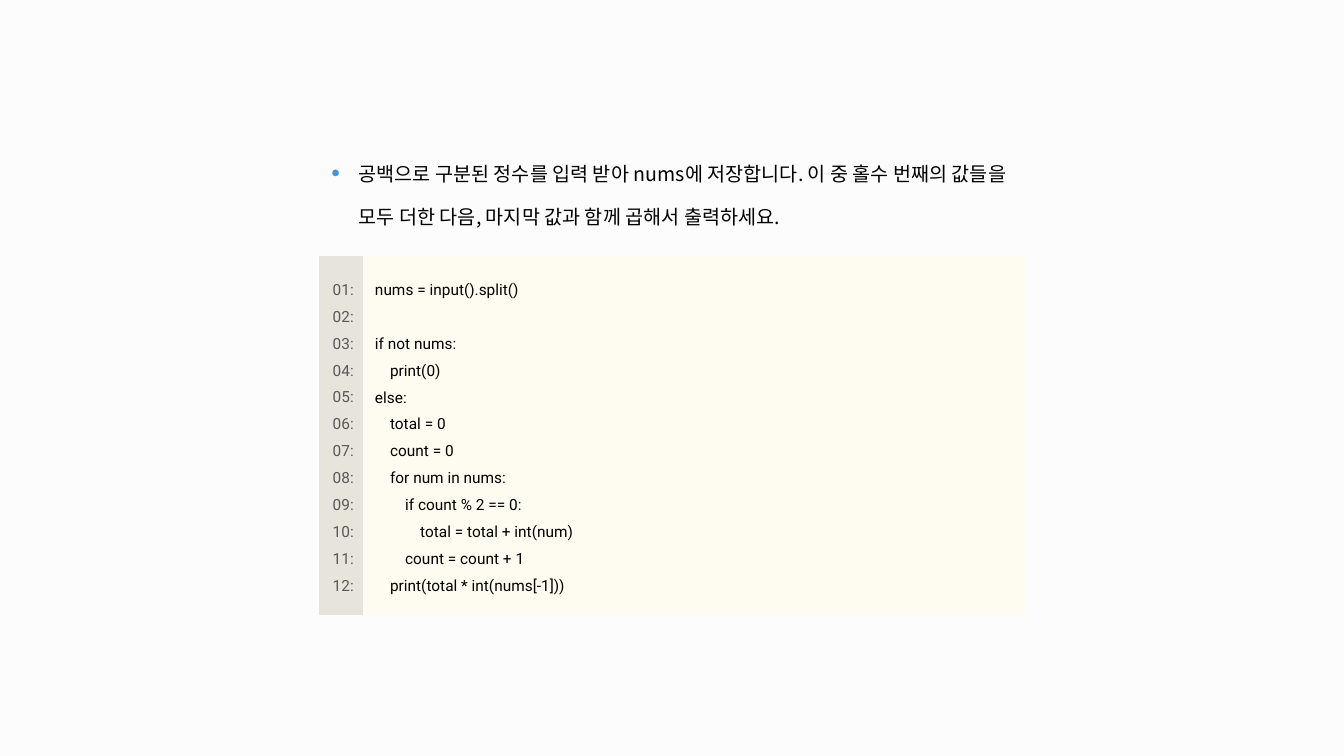
from lxml import etree
from pptx import Presentation
from pptx.dml.color import RGBColor
from pptx.enum.text import MSO_ANCHOR, PP_ALIGN
from pptx.oxml.ns import qn
from pptx.util import Cm, Pt

MIDDLE = MSO_ANCHOR.MIDDLE
CENTER = PP_ALIGN.CENTER

BACKGROUND = RGBColor(0xFC, 0xFC, 0xFC)
BLACK = RGBColor(0x00, 0x00, 0x00)
GREY = RGBColor(0x57, 0x58, 0x5A)
GUTTER = RGBColor(0xE6, 0xE4, 0xDB)
CREAM = RGBColor(0xFE, 0xFB, 0xF1)
BLUE = RGBColor(0x44, 0x95, 0xD1)
NO_STYLE = "{2D5ABB26-0587-4C30-8999-92F81FD0307C}"

TASK = ("공백으로 구분된 정수를 입력 받아 nums에 저장합니다. 이 중 홀수 번째의 "
        "값들을 모두 더한 다음, 마지막 값과 함께 곱해서 출력하세요.")

# Line number, indent level, code
CODE = [
    (1, 0, "nums = input().split()"),
    (3, 0, "if not nums:"),
    (4, 1, "print(0)"),
    (5, 0, "else:"),
    (6, 1, "total = 0"),
    (7, 1, "count = 0"),
    (8, 1, "for num in nums:"),
    (9, 2, "if count % 2 == 0:"),
    (10, 3, "total = total + int(num)"),
    (11, 2, "count = count + 1"),
    (12, 1, "print(total * int(nums[-1]))"),
]
LINE_HEIGHT = 19.3


def set_margins(cell, left, top, bottom):
    cell.margin_left, cell.margin_top = Cm(left), Cm(top)
    cell.margin_right, cell.margin_bottom = Cm(0), Cm(bottom)
    cell.vertical_anchor = MIDDLE


def write_lines(cell, lines, font, size, color):
    tf = cell.text_frame
    tf.text = "\n".join(lines)
    for p in tf.paragraphs:
        p.line_spacing = 1.5
        r = p.runs[0]
        r.font.name, r.font.size = font, Pt(size)
        r.font.color.rgb = color
        etree.SubElement(r.font._element, qn("a:ea"), typeface=font)
    return tf.paragraphs


prs = Presentation()
prs.slide_width, prs.slide_height = Cm(33.87), Cm(19.05)
s = prs.slides.add_slide(prs.slide_layouts[6])
s.background.fill.solid()
s.background.fill.fore_color.rgb = BACKGROUND

# Table without style or borders
frame = s.shapes.add_table(2, 2, Cm(8.05), Cm(3.3), Cm(17.78), Cm(12.42))
table = frame.table
table.first_row = table.horz_banding = False
table._tbl.tblPr.find(qn("a:tableStyleId")).text = NO_STYLE
table.columns[0].width, table.columns[1].width = Cm(1.1), Cm(16.67)
table.rows[0].height, table.rows[1].height = Cm(3.15), Cm(9.04)

# Task, across both columns
task = table.cell(0, 0)
task.merge(table.cell(0, 1))
task.fill.background()
set_margins(task, 0.3, 0.1, 0.4)
p = write_lines(task, [TASK], "Noto Sans CJK KR", 14, BLACK)[0]
pPr = p._p.get_or_add_pPr()
pPr.set("marL", str(Cm(0.69)))
pPr.set("indent", str(-Cm(0.69)))
color = etree.SubElement(pPr, qn("a:buClr"))
etree.SubElement(color, qn("a:srgbClr"), val=str(BLUE))
etree.SubElement(pPr, qn("a:buSzPct"), val="125000")
etree.SubElement(pPr, qn("a:buFont"), typeface="Arial")
etree.SubElement(pPr, qn("a:buChar"), char="•")

# Line numbers
gutter = table.cell(1, 0)
gutter.fill.solid()
gutter.fill.fore_color.rgb = GUTTER
set_margins(gutter, 0.1, 0.1, 0.2)
numbers = [f"{n:02}:" for n in range(1, CODE[-1][0] + 1)]
for p in write_lines(gutter, numbers, "Roboto", 11, GREY):
    p.alignment = CENTER

# Code: indents by level, skipped line numbers become space
code = table.cell(1, 1)
code.fill.solid()
code.fill.fore_color.rgb = CREAM
set_margins(code, 0.3, 0.4, 0.5)
paragraphs = write_lines(code, [text for _, _, text in CODE], "Roboto", 11, BLACK)
last = 0
for p, (number, level, _) in zip(paragraphs, CODE):
    p._p.get_or_add_pPr().set("marL", str(Cm(0.38 * level)))
    p.space_before = Pt(LINE_HEIGHT * (number - last - 1))
    last = number

prs.save("out.pptx")
